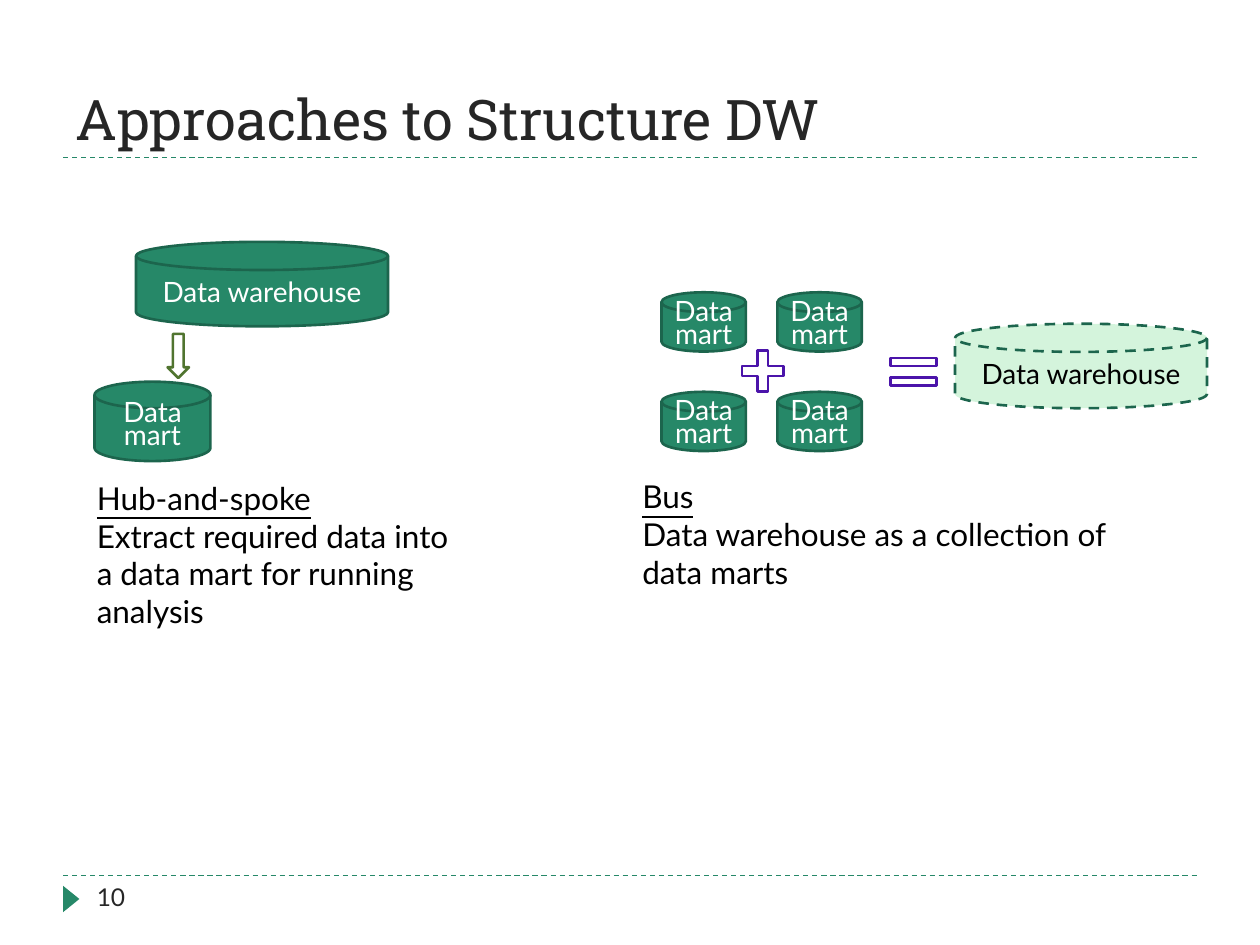
from pptx import Presentation, util as u
from pptx.dml.color import RGBColor
from pptx.enum import shapes, text, dml
from pptx.oxml.ns import qn
from lxml import etree

I = u.Inches
KIND = shapes.MSO_SHAPE
MID = text.MSO_ANCHOR.MIDDLE
GREEN, DARK, INK = "268868", "1C654D", "262626"
WHITE, BLACK, VIOLET = "FFFFFF", "000000", "4B14AA"

deck = Presentation()
deck.slide_width, deck.slide_height = I(10), I(7.5)
slide = deck.slides.add_slide(deck.slide_layouts[6])
parts = slide.shapes


def tint(form, hue):
    form.rgb = RGBColor.from_string(hue)


def put(obj, vals):
    for key, val in vals.items():
        setattr(obj, key, val)


def write(frame, lines, size, hue, font="Lato", under=False, para=None, **box):
    put(frame, {"word_wrap": True, **box})
    for n, line in enumerate(lines):
        p = frame.add_paragraph() if n else frame.paragraphs[0]
        put(p, para or {})
        run = p.add_run()
        run.text = line
        put(run.font, {"size": u.Pt(size), "name": font})
        if under and n == 0:
            run.font.underline = True
        tint(run.font.color, hue)


def label(x, y, w, h, lines, size, hue, **opts):
    box = parts.add_textbox(I(x), I(y), I(w), I(h))
    write(box.text_frame, lines, size, hue, **opts)


def shape(kind, x, y, w, h, fill, edge=None, adj=(), turn=0, dash=False):
    item = parts.add_shape(kind, I(x), I(y), I(w), I(h))
    item.shadow.inherit = False
    item.rotation = turn
    for n, val in enumerate(adj):
        item.adjustments[n] = val
    item.fill.solid()
    tint(item.fill.fore_color, fill)
    if edge:
        item.line.width = u.Pt(1.5)
        tint(item.line.color, edge)
    else:
        item.line.fill.background()
    if dash:
        item.line.dash_style = dml.MSO_LINE.DASH
    return item


def disk(x, y, w, h, words, fill=GREEN, hue=WHITE, lead=None, dash=False):
    item = shape(KIND.FLOWCHART_MAGNETIC_DISK, x, y, w, h, fill, DARK, dash=dash)
    para = {"alignment": text.PP_ALIGN.CENTER}
    if lead:
        para["line_spacing"] = u.Pt(lead)
    write(item.text_frame, [words], 16, hue, para=para, vertical_anchor=MID,
          margin_left=I(0.05), margin_right=I(0.05))


def store(x, y, **opts):
    disk(x, y, 2, 0.67, "Data warehouse", **opts)


def mart(x, y, w, h):
    disk(x, y, w, h, "Data mart", lead=13)


def rule(y):
    line = parts.add_connector(shapes.MSO_CONNECTOR.STRAIGHT, I(0.5), I(y), I(9.5), I(y))
    put(line.line, {"width": u.Pt(0.75), "dash_style": dml.MSO_LINE.DASH})
    tint(line.line.color, GREEN)
    etree.SubElement(line._element.spPr, qn("a:effectLst"))


def head(x, y):
    rule(y + 1)
    label(x, y, 9, 1, ["Approaches to Structure DW"], 32, INK,
          font="Roboto Slab", vertical_anchor=text.MSO_ANCHOR.BOTTOM)


def foot(x, y):
    rule(y)
    shape(KIND.ISOSCELES_TRIANGLE, x - 0.04, y + 0.12, 0.21, 0.13, GREEN, turn=90)
    label(x + 0.17, y, 2.17, 0.4, ["10"], 14, INK)


def hub(x, y):
    store(x + 0.41, y)
    mart(x + 0.08, y + 1.11, 0.92, 0.63)
    shape(KIND.RIGHT_ARROW, x + 0.57, y + 0.82, 0.35, 0.17, WHITE, "50742F", turn=90)
    label(x, y + 1.83, 3, 1.31,
          ["Hub-and-spoke", "Extract required data into a data mart for running analysis"],
          18, BLACK, under=True)


def bus(x, y):
    for row in range(2):
        for col in range(2):
            mart(x + 0.25 + col * 0.92, y + row * 0.79, 0.67, 0.47)
    shape(KIND.CROSS, x + 0.89, y + 0.46, 0.33, 0.33, WHITE, VIOLET, [0.376])
    shape(KIND.MATH_EQUAL, x + 2, y + 0.42, 0.5, 0.42, WHITE, VIOLET, [0.152, 0.218])
    store(x + 2.58, y + 0.25, fill="D4F4DC", hue=BLACK, dash=True)
    label(x, y + 1.42, 4.17, 1.01,
          ["Bus", "Data warehouse as a collection of data marts"],
          18, BLACK, under=True)


head(0.5, 0.25)
foot(0.5, 6.95)
hub(0.67, 1.92)
bus(5, 2.32)
deck.save("out.pptx")
